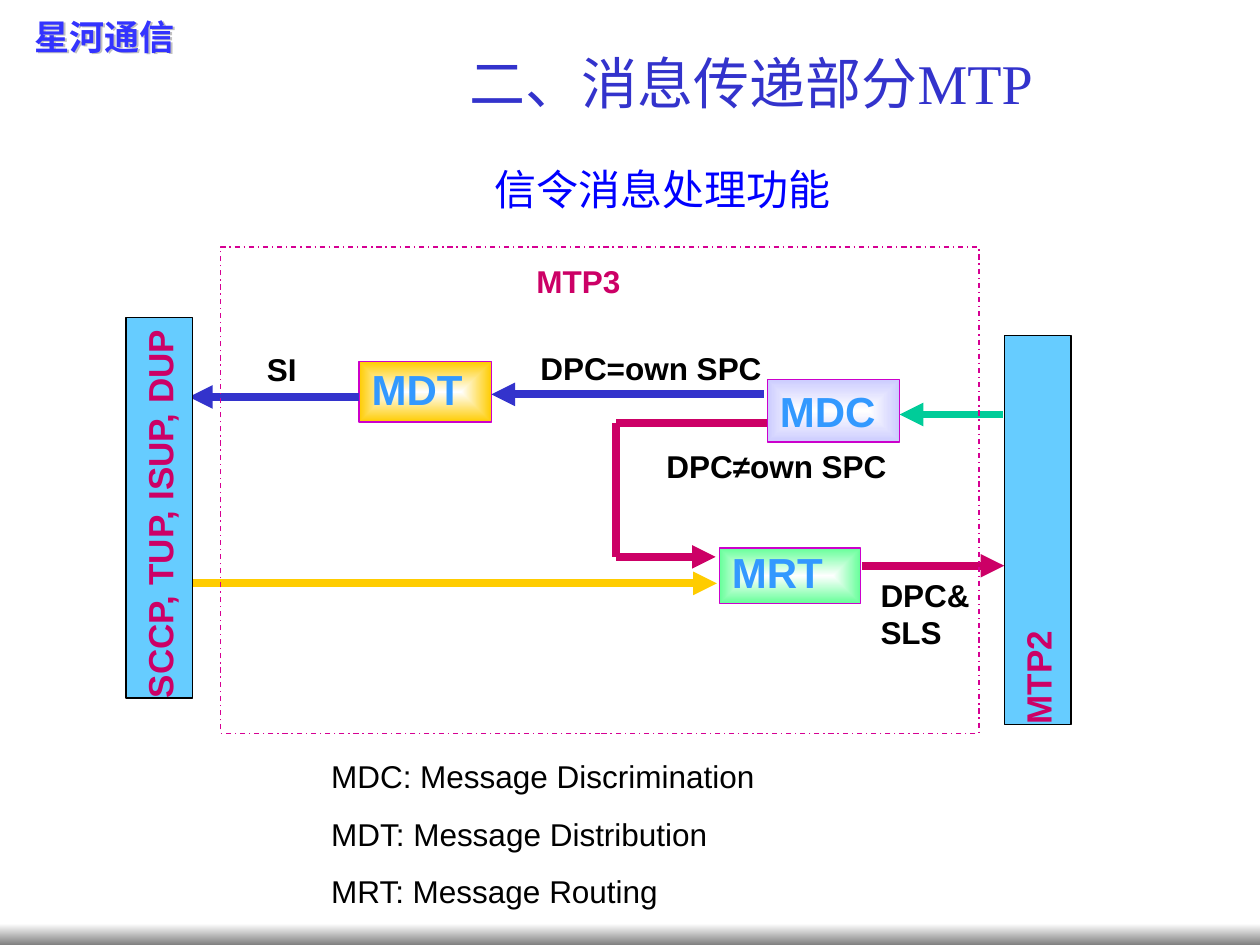
"""Build a slide on the signalling message handling of MTP."""
from dataclasses import dataclass

from lxml.etree import SubElement
from pptx import Presentation
from pptx.dml.color import RGBColor
from pptx.enum.dml import MSO_LINE
from pptx.enum.shapes import MSO_CONNECTOR, MSO_SHAPE
from pptx.enum.text import MSO_ANCHOR, PP_ALIGN
from pptx.oxml import parse_xml
from pptx.oxml.ns import nsdecls, qn
from pptx.util import Inches, Pt

ROSE = "CC0066"
BLUE = "3333CC"
SIDE_BLUE = "66CCFF"
BLACK = "000000"
ARIAL = "Arial"
TIMES = "Times New Roman"
CENTRE_OUT = ('<a:path path="rect"><a:fillToRect l="50000" t="50000" '
              'r="50000" b="50000"/></a:path>')
DOWNWARD = '<a:lin ang="5400000" scaled="1"/>'


@dataclass
class Stage:
    """A processing stage of MTP3."""
    text: str
    box: tuple
    colour: str
    format: dict


@dataclass
class Flow:
    """A straight stretch of message flow."""
    start: tuple
    end: tuple
    colour: str
    arrow: bool = True


@dataclass
class Label:
    """A bold caption in the diagram."""
    text: str
    box: tuple
    colour: str = BLACK


@dataclass
class Side:
    """A neighbouring layer with upright text."""
    text: str
    box: tuple


STAGES = [
    Stage("MDC", (6.09, 3.01, 1.05, 0.5), "CCCCFF", {}),
    Stage("MRT", (5.71, 4.35, 1.12, 0.44), "66FF99",
          dict(align=PP_ALIGN.JUSTIFY, spacing=0.84, before=15, after=6)),
    Stage("MDT", (2.85, 2.87, 1.05, 0.48), "FFCC00",
          dict(align=PP_ALIGN.JUSTIFY, spacing=0.94, after=6)),
]
FLOWS = [
    Flow((7.96, 3.29), (7.14, 3.29), "00CC99"),
    Flow((6.06, 3.13), (3.9, 3.13), BLUE),
    Flow((1.5, 4.63), (5.69, 4.63), "FFCC00"),
    Flow((2.85, 3.15), (1.5, 3.15), BLUE),
    Flow((4.89, 4.42), (5.68, 4.42), ROSE),
    Flow((6.84, 4.49), (7.97, 4.49), ROSE),
    Flow((4.89, 3.36), (6.09, 3.36), ROSE, False),
    Flow((4.89, 3.36), (4.89, 4.42), ROSE, False),
]
SIDES = [
    Side("MTP2", (7.97, 2.66, 0.53, 3.09)),
    Side("SCCP, TUP, ISUP, DUP", (1, 2.52, 0.53, 3.02)),
]
LABELS = [
    Label("DPC=own SPC", (4.19, 2.72, 2.13, 0.4)),
    Label("DPC≠own SPC", (5.19, 3.5, 2.19, 0.4)),
    Label("SI", (2.02, 2.73, 0.5, 0.4)),
    Label("DPC&SLS", (6.89, 4.52, 1, 0.7)),
    Label("MTP3", (4.16, 2.03, 1.36, 0.4), ROSE),
]


def rgb(colour: str) -> RGBColor:
    """Turn a hex string into a colour."""
    return RGBColor.from_string(colour)


def write(shape, text, *, size=18, colour=BLACK, font=ARIAL, bold=False,
          align=PP_ALIGN.LEFT, before=0, after=0, spacing=None,
          anchor=MSO_ANCHOR.TOP) -> None:
    """Write lines of text, each a string or a list of (text, font) pairs."""
    frame = shape.text_frame
    frame.word_wrap = True
    frame.vertical_anchor = anchor
    lines = text if isinstance(text, list) else [text]
    for index, line in enumerate(lines):
        paragraph = frame.add_paragraph() if index else frame.paragraphs[0]
        paragraph.alignment = align
        paragraph.space_before = Pt(before)
        paragraph.space_after = Pt(after)
        paragraph.line_spacing = spacing
        pieces = line if isinstance(line, list) else [(line, font)]
        for content, typeface in pieces:
            run = paragraph.add_run()
            run.text = content
            run.font.size = Pt(size)
            run.font.bold = bold
            run.font.name = typeface
            run.font.color.rgb = rgb(colour)


def add_text(slide, box, text, **text_format):
    """Add a text box."""
    shape = slide.shapes.add_textbox(*map(Inches, box))
    write(shape, text, **text_format)
    return shape


def cast_shadow(shape) -> None:
    """Let the text of an unfilled shape cast a small grey shadow."""
    shape._element.spPr.append(parse_xml(
        f'<a:effectLst {nsdecls("a")}><a:outerShdw dist="17780" dir="2700000">'
        '<a:srgbClr val="C0C0C0"/></a:outerShdw></a:effectLst>'))


def add_box(slide, box, fill=None, line=None):
    """Add a rectangle with an optional flat fill and thin outline."""
    shape = slide.shapes.add_shape(MSO_SHAPE.RECTANGLE, *map(Inches, box))
    shape.shadow.inherit = False
    if fill:
        shape.fill.solid()
        shape.fill.fore_color.rgb = rgb(fill)
    else:
        shape.fill.background()
    if line:
        shape.line.color.rgb = rgb(line)
        shape.line.width = Pt(0.75)
    else:
        shape.line.fill.background()
    return shape


def fade(shape, colour: str, direction: str) -> None:
    """Fill a shape with a gradient from white to the colour."""
    properties = shape._element.spPr
    empty = properties.find(qn("a:noFill"))
    properties.replace(empty, parse_xml(
        f'<a:gradFill {nsdecls("a")} rotWithShape="1"><a:gsLst>'
        '<a:gs pos="0"><a:srgbClr val="FFFFFF"/></a:gs>'
        f'<a:gs pos="100000"><a:srgbClr val="{colour}"/></a:gs></a:gsLst>'
        f'{direction}</a:gradFill>'))


def add_stage(slide, stage: Stage) -> None:
    """Add a stage that glows from its centre."""
    shape = add_box(slide, stage.box, line="CC00CC")
    fade(shape, stage.colour, CENTRE_OUT)
    write(shape, stage.text, size=24, colour="3399FF", bold=True, **stage.format)


def add_flow(slide, flow: Flow) -> None:
    """Add a thick line, with an arrowhead at its end if wanted."""
    connector = slide.shapes.add_connector(
        MSO_CONNECTOR.STRAIGHT, *map(Inches, flow.start + flow.end))
    connector.line.color.rgb = rgb(flow.colour)
    connector.line.width = Pt(4.5)
    if flow.arrow:
        SubElement(connector.line._get_or_add_ln(), qn("a:tailEnd"), type="triangle")
    SubElement(connector._element.spPr, qn("a:effectLst"))


def add_side(slide, side: Side) -> None:
    """Add a neighbouring layer whose text reads upwards."""
    shape = add_box(slide, side.box, SIDE_BLUE, BLACK)
    shape.rotation = 180
    frame = shape.text_frame
    frame.margin_left = frame.margin_right = Inches(0.05)
    frame.margin_top = frame.margin_bottom = 0
    frame._txBody.bodyPr.set("vert", "eaVert")
    write(shape, side.text, size=20, colour=ROSE, bold=True,
          align=PP_ALIGN.CENTER, anchor=MSO_ANCHOR.MIDDLE)


def main() -> None:
    """Build and save the slide."""
    presentation = Presentation()
    presentation.slide_width, presentation.slide_height = Inches(10), Inches(7.5)
    slide = presentation.slides.add_slide(presentation.slide_layouts[6])
    fade(add_box(slide, (0, 7.33, 10, 0.17)), "808080", DOWNWARD)
    cast_shadow(add_text(slide, (0.08, 0.07, 1.5, 0.44), "星河通信", size=20,
                         font=TIMES, colour="3333FF", bold=True,
                         align=PP_ALIGN.CENTER))
    add_text(slide, (2.17, 0.33, 7.58, 0.64),
             [[("二、消息传递", ARIAL), ("部分MTP", TIMES)]], size=32, colour=BLUE,
             align=PP_ALIGN.CENTER, before=20, anchor=MSO_ANCHOR.MIDDLE)
    for draw, items in ((add_stage, STAGES), (add_flow, FLOWS), (add_side, SIDES)):
        for item in items:
            draw(slide, item)
    add_box(slide, (1.75, 1.96, 6.02, 3.86), line="D60093").line.dash_style = MSO_LINE.DASH_DOT
    for label in LABELS:
        add_text(slide, label.box, label.text, colour=label.colour, bold=True, before=11.2)
    add_text(slide, (2.53, 5.96, 4.97, 1.32),
             ["MDC: Message Discrimination", "MDT: Message Distribution",
              "MRT: Message Routing"], before=11.2)
    add_text(slide, (3.83, 1.25, 3.2, 0.5), "信令消息处理功能", size=24,
             font=TIMES, colour="0000FF", before=15)
    presentation.save("out.pptx")


if __name__ == "__main__":
    main()
